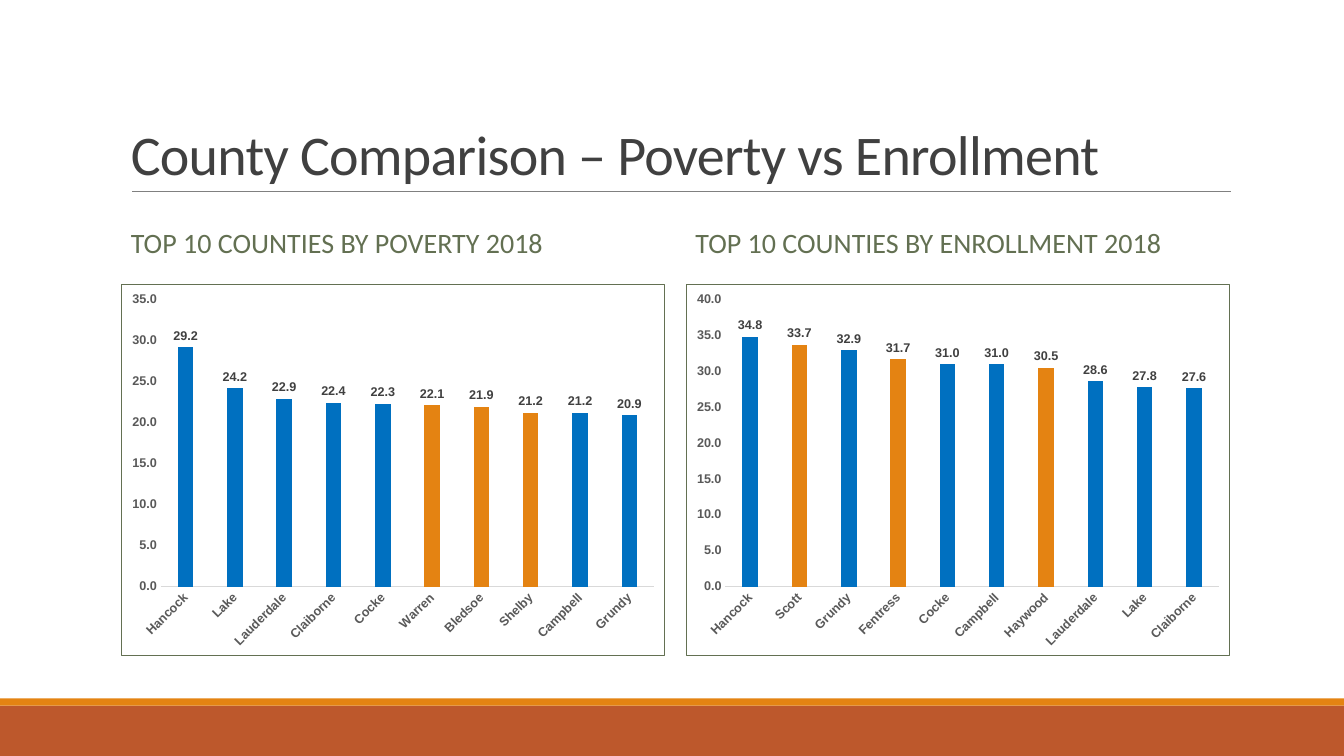
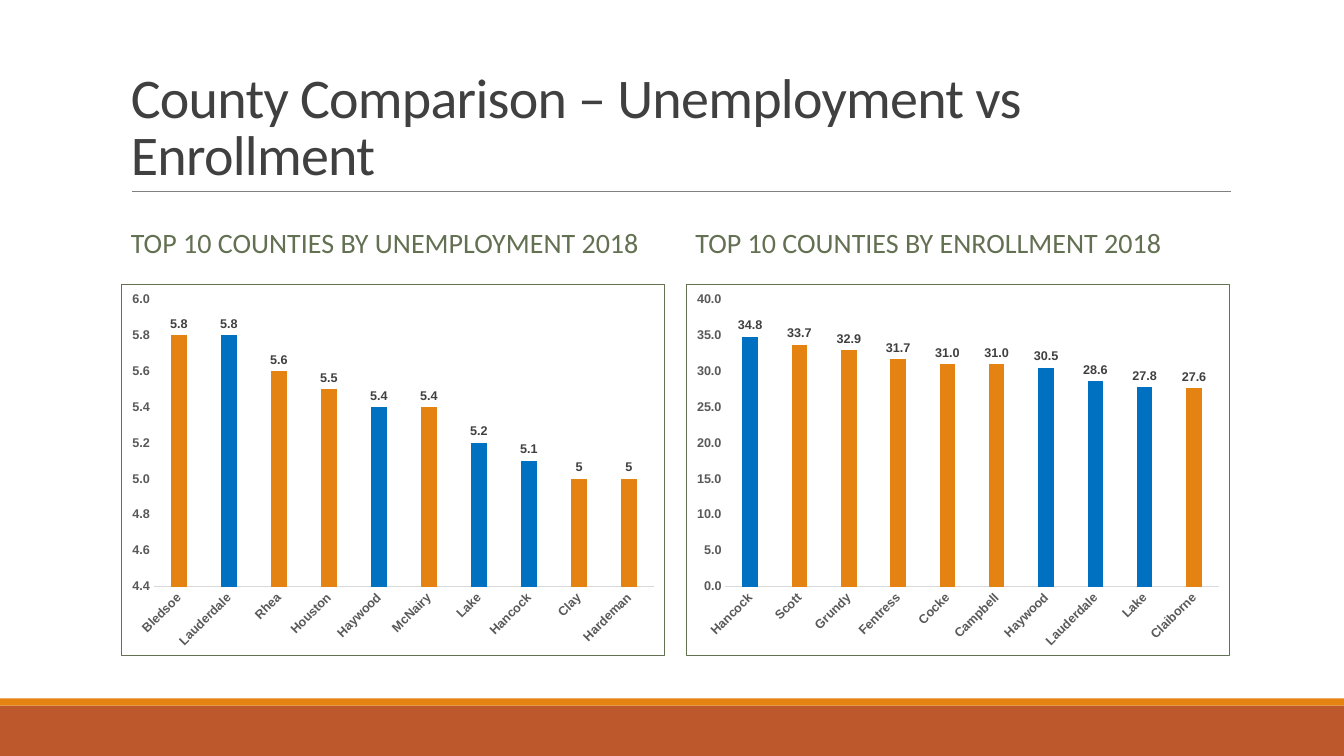
"""Build two slides that compare county rankings with enrollment."""
from pptx import Presentation
from pptx.chart.data import CategoryChartData
from pptx.dml.color import RGBColor
from pptx.enum.chart import XL_CHART_TYPE, XL_LABEL_POSITION, XL_TICK_MARK
from pptx.enum.shapes import MSO_CONNECTOR, MSO_SHAPE
from pptx.enum.text import MSO_ANCHOR
from pptx.oxml import parse_xml
from pptx.oxml.ns import nsdecls, qn
from pptx.util import Inches, Pt

COLUMN = XL_CHART_TYPE.COLUMN_CLUSTERED
OUTSIDE_END = XL_LABEL_POSITION.OUTSIDE_END
NO_TICK = XL_TICK_MARK.NONE
STRAIGHT = MSO_CONNECTOR.STRAIGHT
RECTANGLE = MSO_SHAPE.RECTANGLE
BOTTOM, MIDDLE = MSO_ANCHOR.BOTTOM, MSO_ANCHOR.MIDDLE

RUST = RGBColor(0xBD, 0x58, 0x2C)
ORANGE = RGBColor(0xE4, 0x83, 0x12)
BLUE = RGBColor(0x00, 0x70, 0xC0)
OLIVE = RGBColor(0x63, 0x70, 0x52)
DARK_GRAY = RGBColor(0x40, 0x40, 0x40)
AXIS_GRAY = RGBColor(0x59, 0x59, 0x59)
RULE_GRAY = RGBColor(0x80, 0x80, 0x80)
LIGHT_GRAY = RGBColor(0xD9, 0xD9, 0xD9)
BLACK = RGBColor(0, 0, 0)

POVERTY = {
    "heading": "TOP 10 COUNTIES BY POVERTY 2018",
    "values": {"Hancock": 29.2, "Lake": 24.2, "Lauderdale": 22.9, "Claiborne": 22.4,
               "Cocke": 22.3, "Warren": 22.1, "Bledsoe": 21.9, "Shelby": 21.2,
               "Campbell": 21.2, "Grundy": 20.9},
    "scale": (0, 35, 5), "label_format": "0.0",
}
ENROLLMENT = {
    "heading": "TOP 10 COUNTIES BY ENROLLMENT 2018",
    "values": {"Hancock": 34.8, "Scott": 33.7, "Grundy": 32.9, "Fentress": 31.7,
               "Cocke": 31.0, "Campbell": 31.0, "Haywood": 30.5, "Lauderdale": 28.6,
               "Lake": 27.8, "Claiborne": 27.6},
    "scale": (0, 40, 5), "label_format": "0.0",
}
UNEMPLOYMENT = {
    "heading": "TOP 10 COUNTIES BY UNEMPLOYMENT 2018",
    "values": {"Bledsoe": 5.8, "Lauderdale": 5.8, "Rhea": 5.6, "Houston": 5.5,
               "Haywood": 5.4, "McNairy": 5.4, "Lake": 5.2, "Hancock": 5.1,
               "Clay": 5, "Hardeman": 5},
    "scale": (4.4, 6, 0.2), "label_format": "General",
}
SLIDES = [
    ("County Comparison – Poverty vs Enrollment", (POVERTY, ENROLLMENT)),
    ("County Comparison – Unemployment vs Enrollment", (UNEMPLOYMENT, ENROLLMENT)),
]

SLIDE_WIDTH, SLIDE_HEIGHT = Inches(13.33), Inches(7.5)
LEFT, COLUMN_WIDTH, COLUMN_STEP = Inches(1.2), Inches(5.4), Inches(5.6)
BANDS = [(Inches(7), Inches(0.5), RUST), (Inches(6.93), Inches(0.07), ORANGE)]
TITLE_STYLE = {
    "anchor": BOTTOM,
    "paragraph": {"line_spacing": 0.85},
    "font": {"name": "Calibri", "size": Pt(40)},
    "color": DARK_GRAY, "tracking": "-50",
}
HEADING_STYLE = {
    "anchor": MIDDLE,
    "paragraph": {"line_spacing": 0.9, "space_before": Pt(12), "space_after": Pt(2)},
    "font": {"name": "Calibri", "size": Pt(20)},
    "color": OLIVE, "tracking": "0",
}


def set_attributes(target, values):
    for name, value in values.items():
        setattr(target, name, value)


def set_chart_font(font, size, color):
    set_attributes(font, {"name": "Arial", "size": Pt(size), "bold": True})
    font.color.rgb = color


def add_text(slide, text, box, style):
    frame = slide.shapes.add_textbox(*box).text_frame
    set_attributes(frame, {"word_wrap": True, "vertical_anchor": style["anchor"]})
    paragraph = frame.paragraphs[0]
    set_attributes(paragraph, style["paragraph"])
    run = paragraph.add_run()
    run.text = text
    set_attributes(run.font, style["font"])
    run.font.color.rgb = style["color"]
    run.font._element.set("spc", style["tracking"])


def add_frame(slide):
    for top, height, color in BANDS:
        band = slide.shapes.add_shape(RECTANGLE, 0, top, SLIDE_WIDTH, height)
        band.shadow.inherit = False
        band.fill.solid()
        band.fill.fore_color.rgb = color
        band.line.fill.background()
    rule = slide.shapes.add_connector(
        STRAIGHT, Inches(1.31), Inches(1.9), Inches(12.21), Inches(1.9))
    rule.line.color.rgb = RULE_GRAY
    rule.line.width = Pt(0.5)
    rule._element.spPr.append(parse_xml(f"<a:effectLst {nsdecls('a')}/>"))


def add_chart_border(chart):
    properties = parse_xml(
        f"<c:spPr {nsdecls('c', 'a')}>"
        '<a:solidFill><a:srgbClr val="FFFFFF"/></a:solidFill>'
        f'<a:ln w="{Pt(0.75)}"><a:solidFill><a:srgbClr val="{OLIVE}"/></a:solidFill></a:ln>'
        "</c:spPr>")
    chart._chartSpace.find(qn("c:chart")).addnext(properties)


def style_axes(chart, scale):
    for axis in (chart.category_axis, chart.value_axis):
        set_attributes(axis, {"major_tick_mark": NO_TICK, "minor_tick_mark": NO_TICK,
                              "has_major_gridlines": False})
        set_chart_font(axis.tick_labels.font, 9, AXIS_GRAY)
    category_line = chart.category_axis.format.line
    category_line.color.rgb = LIGHT_GRAY
    category_line.width = Pt(0.75)
    label_body = chart.category_axis._element.find(qn("c:txPr")).find(qn("a:bodyPr"))
    label_body.set("rot", "-2700000")
    label_body.set("vert", "horz")
    value_axis = chart.value_axis
    value_axis.format.line.fill.background()
    set_attributes(value_axis, dict(zip(
        ("minimum_scale", "maximum_scale", "major_unit"), scale)))
    set_attributes(value_axis.tick_labels,
                   {"number_format": "0.0", "number_format_is_linked": False})


def add_ranking_chart(slide, ranking, box, shared_counties):
    values = ranking["values"]
    data = CategoryChartData()
    data.categories = list(values)
    data.add_series("Series 1", list(values.values()))
    chart = slide.shapes.add_chart(COLUMN, *box, data).chart
    set_attributes(chart, {"has_title": False, "has_legend": False})
    set_chart_font(chart.font, 10, BLACK)
    add_chart_border(chart)
    style_axes(chart, ranking["scale"])

    plot = chart.plots[0]
    set_attributes(plot, {"gap_width": 219, "overlap": -27,
                          "vary_by_categories": False, "has_data_labels": True})
    set_attributes(plot.data_labels, {
        "show_value": True, "position": OUTSIDE_END,
        "number_format": ranking["label_format"], "number_format_is_linked": False})
    set_chart_font(plot.data_labels.font, 9, DARK_GRAY)

    series = plot.series[0]
    series.format.fill.solid()
    series.format.fill.fore_color.rgb = BLUE
    for index, county in enumerate(values):
        if county not in shared_counties:
            fill = series.points[index].format.fill
            fill.solid()
            fill.fore_color.rgb = ORANGE


def main():
    presentation = Presentation()
    set_attributes(presentation, {"slide_width": SLIDE_WIDTH, "slide_height": SLIDE_HEIGHT})
    for title, rankings in SLIDES:
        slide = presentation.slides.add_slide(presentation.slide_layouts[6])
        add_frame(slide)
        add_text(slide, title, (LEFT, Inches(0.31), Inches(11), Inches(1.59)), TITLE_STYLE)
        shared_counties = set.intersection(*(set(ranking["values"]) for ranking in rankings))
        for column, ranking in enumerate(rankings):
            left = LEFT + column * COLUMN_STEP
            add_text(slide, ranking["heading"],
                     (left, Inches(2.02), COLUMN_WIDTH, Inches(0.81)), HEADING_STYLE)
            add_ranking_chart(slide, ranking,
                              (left, Inches(2.82), COLUMN_WIDTH, Inches(3.69)),
                              shared_counties)
    presentation.save("out.pptx")


if __name__ == "__main__":
    main()
